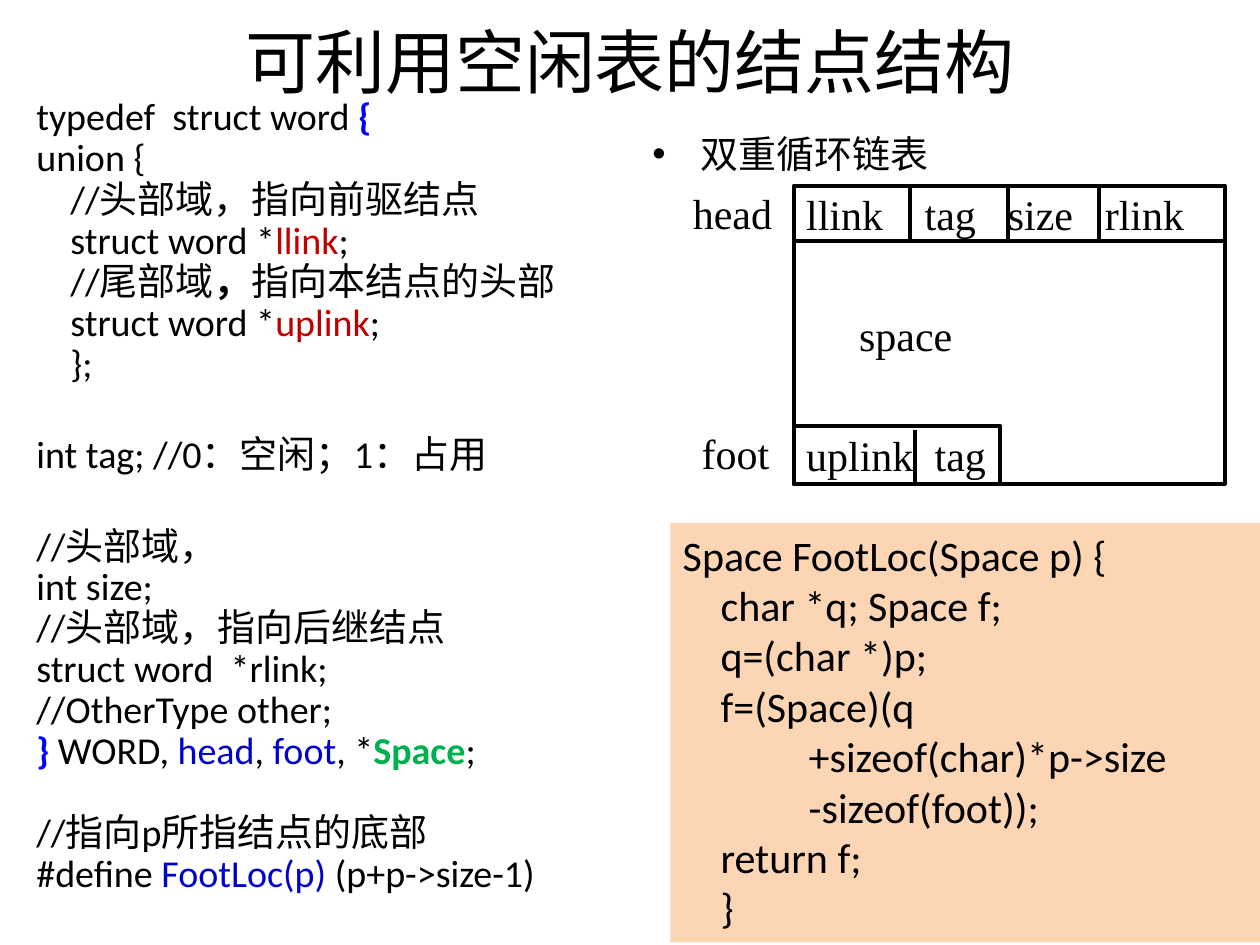
from lxml import etree
from pptx import Presentation
from pptx import util as u
from pptx.dml import color
from pptx.enum import shapes, text
from pptx.oxml import ns

COLORS = {"black": "000000", "brace": "0000FF", "name": "0000CC",
          "link": "C00000", "type": "00B050", "panel": "FCD5B5"}
BODY, SERIF = "Calibri", "Times New Roman"
CODE_SIZE, LABEL_SIZE = 21.7, 24

STRUCT_CODE = [
    ("typedef  struct word ", ("{", "brace", True)),
    ("union {",),
    ("//头部域，指向前驱结点",),
    ("struct word *", ("llink", "link", False), ";"),
    ("//尾部域", ("，", "black", True), "指向本结点的头部"),
    ("struct word *", ("uplink", "link", False), ";"),
    ("};",),
    ("int tag; //0：空闲；1：占用",),
    ("//头部域，",),
    ("int size;",),
    ("//头部域，指向后继结点",),
    ("struct word  *rlink;",),
    ("//OtherType other;",),
    (("}", "brace", True), " WORD, ", ("head", "name", False), ", ",
     ("foot", "name", False), ", *", ("Space", "type", True), ";"),
    ("//指向p所指结点的底部",),
    ("#define ", ("FootLoc(p)", "name", False), " (p+p->size-1)"),
]
UNION_LINES = range(2, 7)
DOUBLE_LINES = (7, 8)
MACRO_LINE = 14

FUNCTION_CODE = [
    (0, "Space FootLoc(Space p) {"),
    (0.3, "char *q; Space f;"),
    (0.3, "q=(char *)p;"),
    (0.3, "f=(Space)(q"),
    (1, "+sizeof(char)*p->size"),
    (1, "-sizeof(foot));"),
    (0.3, "return f;"),
    (0.3, "}"),
]


def rgb(name):
    return color.RGBColor.from_string(COLORS[name])


def add_run(p, content, size, font, tone="black", bold=False):
    r = p.add_run()
    r.text = content
    r.font.size = u.Pt(size)
    r.font.name = font
    r.font.bold = bold
    r.font.color.rgb = rgb(tone)


def indent(p, left, first=0):
    pPr = p._p.get_or_add_pPr()
    pPr.set("marL", str(u.Inches(left)))
    pPr.set("indent", str(u.Inches(first)))
    return pPr


def set_tabs(p, stops):
    tabs = etree.SubElement(p._p.get_or_add_pPr(), ns.qn("a:tabLst"))
    for stop in stops:
        etree.SubElement(tabs, ns.qn("a:tab"), pos=str(u.Inches(stop)), algn="l")


def add_box(parent, x, y, w, h, anchor=text.MSO_ANCHOR.TOP):
    sp = parent.add_textbox(u.Inches(x), u.Inches(y), u.Inches(w), u.Inches(h))
    sp.text_frame.word_wrap = True
    sp.text_frame.vertical_anchor = anchor
    return sp.text_frame


def add_rect(parent, x, y, w, h, fill=None):
    sp = parent.add_shape(shapes.MSO_SHAPE.RECTANGLE, u.Inches(x), u.Inches(y),
                          u.Inches(w), u.Inches(h))
    sp.shadow.inherit = False
    if fill:
        sp.fill.solid()
        sp.fill.fore_color.rgb = rgb(fill)
        sp.line.fill.background()
    else:
        sp.fill.background()
        sp.line.color.rgb = rgb("black")
        sp.line.width = u.Pt(2.25)
    sp.text_frame.word_wrap = True
    return sp.text_frame


def add_divider(parent, x, y, h):
    c = parent.add_connector(shapes.MSO_CONNECTOR.STRAIGHT, u.Inches(x),
                             u.Inches(y), u.Inches(x), u.Inches(y + h))
    c.line.color.rgb = rgb("black")
    c.line.width = u.Pt(2.25)
    etree.SubElement(c._element.spPr, ns.qn("a:effectLst"))


def paragraphs(tf, count):
    return [tf.paragraphs[0]] + [tf.add_paragraph() for _ in range(count - 1)]


def add_title(s, x, y, w, h):
    p = add_box(s.shapes, x, y, w, h, text.MSO_ANCHOR.MIDDLE).paragraphs[0]
    p.alignment = text.PP_ALIGN.CENTER
    add_run(p, "可利用空闲表的结点结构", 40, BODY)


def add_struct(s, x, y, w, h):
    tf = add_box(s.shapes, x, y, w, h)
    for i, p in enumerate(paragraphs(tf, len(STRUCT_CODE))):
        p.line_spacing = 2.0 if i in DOUBLE_LINES else 0.9
        if i in UNION_LINES:
            indent(p, 0.27)
        if i == MACRO_LINE:
            p.space_before = u.Pt(23.5)
        for part in STRUCT_CODE[i]:
            content, *style = (part,) if isinstance(part, str) else part
            add_run(p, content, CODE_SIZE, BODY, *style)


def add_bullet(s, x, y, w, h):
    p = add_box(s.shapes, x, y, w, h).paragraphs[0]
    p.space_before = u.Pt(4.3)
    pPr = indent(p, 0.38, -0.38)
    etree.SubElement(pPr, ns.qn("a:buFont"), typeface="Arial")
    etree.SubElement(pPr, ns.qn("a:buChar"), char="•")
    add_run(p, "双重循环链表", CODE_SIZE, BODY)


def add_field_row(parent, x, y, w, h, fields, stops):
    tf = add_rect(parent, x, y, w, h)
    tf.vertical_anchor = text.MSO_ANCHOR.MIDDLE
    tf.margin_right = 0
    p = tf.paragraphs[0]
    p.alignment = text.PP_ALIGN.LEFT
    set_tabs(p, stops)
    add_run(p, "\t".join(fields), LABEL_SIZE, SERIF)


def add_node(s, x, y, w, h):
    g = s.shapes.add_group_shape().shapes
    row = 0.43
    foot_h = 0.46
    foot_y = y + h - foot_h
    add_field_row(g, x, y, w, row, ["llink", "tag", "size", "rlink"],
                  [0.94, 1.6, 2.37])
    for dx in (0.92, 1.7, 2.42):
        add_divider(g, x + dx, y, row)
    add_field_row(g, x, foot_y, 1.64, foot_h, ["uplink", "tag"], [1.02])
    add_divider(g, x + 0.96, y + h - row, row)
    tf = add_rect(g, x, y, w, h)
    tf.vertical_anchor = text.MSO_ANCHOR.MIDDLE
    p = tf.paragraphs[0]
    p.alignment = text.PP_ALIGN.LEFT
    indent(p, 0.42)
    add_run(p, "space", LABEL_SIZE, SERIF)
    for label, dx, top in (("head", 0.9, y - 0.01), ("foot", 0.83, foot_y)):
        tf = add_box(g, x - dx, top, 0.79, row, text.MSO_ANCHOR.MIDDLE)
        tf.margin_right = 0
        add_run(tf.paragraphs[0], label, LABEL_SIZE, SERIF)


def add_function(s, x, y, w, h):
    tf = add_rect(s.shapes, x, y, w, h, "panel")
    tf.vertical_anchor = text.MSO_ANCHOR.TOP
    for p, (left, line) in zip(paragraphs(tf, len(FUNCTION_CODE)), FUNCTION_CODE):
        p.alignment = text.PP_ALIGN.LEFT
        indent(p, left)
        add_run(p, line, LABEL_SIZE, BODY)


def main():
    prs = Presentation()
    prs.slide_width, prs.slide_height = u.Inches(10), u.Inches(7.5)
    s = prs.slides.add_slide(prs.slide_layouts[6])
    add_title(s, 0.5, -0.03, 9, 1.02)
    add_struct(s, 0.19, 0.73, 5.21, 6.54)
    add_bullet(s, 5.08, 0.99, 4.42, 6.38)
    add_node(s, 6.3, 1.48, 3.42, 2.36)
    add_function(s, 5.32, 4.15, 4.68, 3.33)
    prs.save("out.pptx")


if __name__ == "__main__":
    main()
